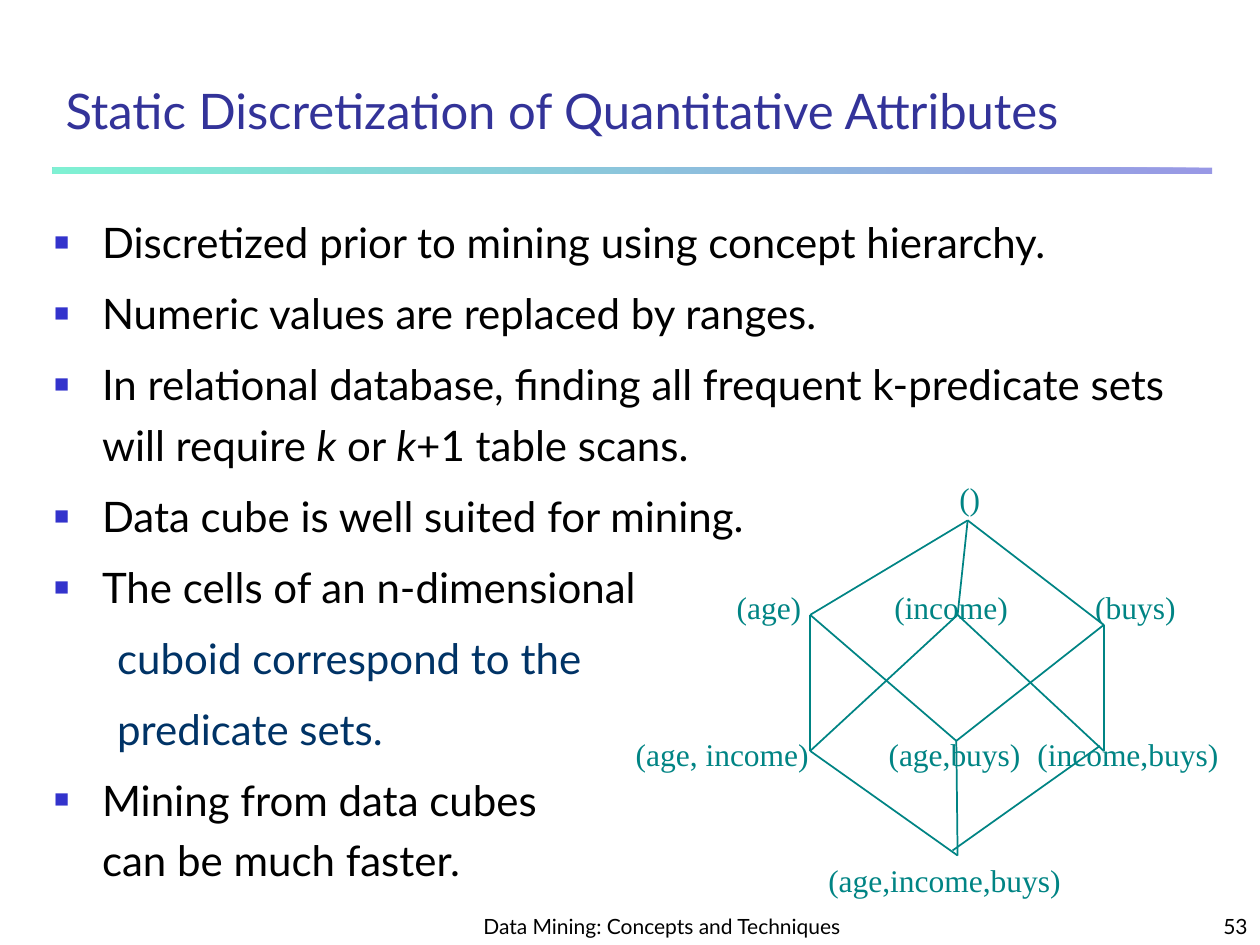
from typing import NamedTuple

from lxml.etree import SubElement
from pptx import Presentation
from pptx.dml.color import RGBColor
from pptx.enum.shapes import MSO_CONNECTOR, MSO_SHAPE
from pptx.enum.text import MSO_ANCHOR, MSO_AUTO_SIZE, PP_ALIGN
from pptx.oxml.ns import qn
from pptx.util import Emu, Pt

PX = 9144  # EMU in one px, 100 px to the inch
SANS, SERIF = "Lato", "Times New Roman"
COLORS = {
    "title": "333399",
    "text": "000000",
    "detail": "003366",
    "bullet": "3333CC",
    "lattice": "008484",
    "rule_right": "3333CC",
    "rule_left": "00E4A8",
}


class Box(NamedTuple):
    left: int
    top: int
    width: int
    height: int


class Point(NamedTuple):
    x: int
    y: int


class Item(NamedTuple):
    text: str
    bulleted: bool = True


class Label(NamedTuple):
    text: str
    right: int
    top: int
    width: int


ITEMS = [
    Item("Discretized prior to mining using concept hierarchy."),
    Item("Numeric values are replaced by ranges."),
    Item("In relational database, finding all frequent k-predicate sets "
         "will require *k* or *k*+1 table scans."),
    Item("Data cube is well suited for mining."),
    Item("The cells of an n-dimensional"),
    Item("cuboid correspond to the", bulleted=False),
    Item("predicate sets.", bulleted=False),
    Item("Mining from data cubes\ncan be much faster."),
]

SINGLES_TOP, PAIRS_TOP, LABEL_HEIGHT = 467, 583, 30
LABELS = [
    Label("()", 778, 380, 26),
    Label("(age)", 636, SINGLES_TOP, 60),
    Label("(income)", 800, SINGLES_TOP, 100),
    Label("(buys)", 933, SINGLES_TOP, 72),
    Label("(age, income)", 642, PAIRS_TOP, 146),
    Label("(age,buys)", 810, PAIRS_TOP, 113),
    Label("(income,buys)", 967, PAIRS_TOP, 152),
    Label("(age,income,buys)", 842, 683, 193),
]

APEX, BASE = Point(768, 413), Point(760, 679)
AGE, INCOME, BUYS = Point(643, 488), Point(760, 488), Point(876, 496)
AGE_INCOME, AGE_BUYS, INCOME_BUYS = Point(643, 596), Point(759, 588), Point(876, 596)
EDGES = [
    (APEX, AGE), (APEX, INCOME), (APEX, BUYS),
    (AGE, AGE_INCOME), (AGE, AGE_BUYS),
    (INCOME, AGE_INCOME), (INCOME, INCOME_BUYS),
    (BUYS, AGE_BUYS), (BUYS, INCOME_BUYS),
    (AGE_INCOME, BASE), (AGE_BUYS, BASE),
    (Point(873, 592), Point(756, 675)),
]


def emu(box: Box) -> list[Emu]:
    return [Emu(length * PX) for length in box]


def place(shape, box: Box) -> None:
    shape.left, shape.top, shape.width, shape.height = emu(box)


def write(paragraph, text: str, *, size: int, color: str, font: str = SANS,
          align: PP_ALIGN = PP_ALIGN.LEFT) -> None:
    """Fill a paragraph; *stars* enclose italics and a newline breaks the line."""
    paragraph.alignment = align
    for line_number, line in enumerate(text.split("\n")):
        if line_number:
            paragraph.add_line_break()
        for part_number, part in enumerate(line.split("*")):
            run = paragraph.add_run()
            run.text = part
            run.font.name, run.font.size = font, Pt(size)
            run.font.color.rgb = RGBColor.from_string(COLORS[color])
            if part_number % 2:
                run.font.italic = True
    for line_break in paragraph._p.findall(qn("a:br")):
        SubElement(line_break, qn("a:rPr"), sz=str(size * 100))


def set_bullet(paragraph, item: Item) -> None:
    properties = paragraph._p.get_or_add_pPr()
    margin, indent = (38, -38) if item.bulleted else (81, -31)
    properties.set("marL", str(margin * PX))
    properties.set("indent", str(indent * PX))
    if not item.bulleted:
        paragraph.level = 1
        SubElement(properties, qn("a:buNone"))
        return
    bullet_color = SubElement(properties, qn("a:buClr"))
    SubElement(bullet_color, qn("a:srgbClr"), val=COLORS["bullet"])
    SubElement(properties, qn("a:buSzPct"), val="60000")
    SubElement(properties, qn("a:buChar"), char="■")


def fill_title(title) -> None:
    place(title, Box(42, 41, 867, 75))
    frame = title.text_frame
    frame.auto_size = MSO_AUTO_SIZE.NONE
    frame.vertical_anchor = MSO_ANCHOR.BOTTOM
    write(frame.paragraphs[0], "Static Discretization of Quantitative Attributes",
          size=28, color="title")


def fill_body(body) -> None:
    place(body, Box(33, 159, 925, 567))
    frame = body.text_frame
    frame.auto_size = MSO_AUTO_SIZE.NONE
    frame.vertical_anchor = MSO_ANCHOR.TOP
    for number, item in enumerate(ITEMS):
        paragraph = frame.add_paragraph() if number else frame.paragraphs[0]
        set_bullet(paragraph, item)
        paragraph.line_spacing = 1.2
        paragraph.space_before = Pt(6 if number else 0)
        write(paragraph, item.text, size=24,
              color="text" if item.bulleted else "detail")


def draw_rule(shapes) -> None:
    rule = shapes.add_shape(MSO_SHAPE.RECTANGLE, *emu(Box(42, 133, 920, 5)))
    rule.shadow.inherit = False
    rule.line.fill.background()
    rule.fill.gradient()
    rule.fill.gradient_angle = 180
    for stop, color in zip(rule.fill.gradient_stops, ("rule_right", "rule_left")):
        stop.color.rgb = RGBColor.from_string(COLORS[color])
    for tint in rule._element.spPr.iter(qn("a:srgbClr")):
        SubElement(tint, qn("a:alpha"), val="50000")


def draw_edge(shapes, start: Point, end: Point) -> None:
    edge = shapes.add_connector(MSO_CONNECTOR.STRAIGHT,
                                *(Emu(length * PX) for length in (*start, *end)))
    edge.line.color.rgb = RGBColor.from_string(COLORS["lattice"])
    edge.line.width = Pt(1)
    SubElement(edge._element.spPr, qn("a:effectLst"))


def draw_label(shapes, label: Label) -> None:
    box = Box(label.right - label.width, label.top, label.width, LABEL_HEIGHT)
    frame = shapes.add_textbox(*emu(box)).text_frame
    frame.margin_left = frame.margin_right = frame.margin_top = frame.margin_bottom = 0
    frame.word_wrap = True
    frame.auto_size = MSO_AUTO_SIZE.SHAPE_TO_FIT_TEXT
    write(frame.paragraphs[0], label.text, size=18, color="lattice", font=SERIF,
          align=PP_ALIGN.RIGHT)


def draw_footer(shapes, text: str, box: Box, align: PP_ALIGN) -> None:
    frame = shapes.add_textbox(*emu(box)).text_frame
    frame.word_wrap = True
    frame.vertical_anchor = MSO_ANCHOR.BOTTOM
    write(frame.paragraphs[0], text, size=12, color="text", align=align)


def main() -> None:
    deck = Presentation()
    deck.slide_width, deck.slide_height = Emu(1000 * PX), Emu(750 * PX)
    slide = deck.slides.add_slide(deck.slide_layouts[1])
    shapes = slide.shapes
    fill_title(shapes.title)
    fill_body(slide.placeholders[1])
    draw_rule(shapes)
    for start, end in EDGES:
        draw_edge(shapes, start, end)
    for label in LABELS:
        draw_label(shapes, label)
    draw_footer(shapes, "Data Mining: Concepts and Techniques",
                Box(367, 708, 317, 42), PP_ALIGN.CENTER)
    draw_footer(shapes, "53", Box(792, 708, 208, 42), PP_ALIGN.RIGHT)
    deck.save("out.pptx")


if __name__ == "__main__":
    main()
